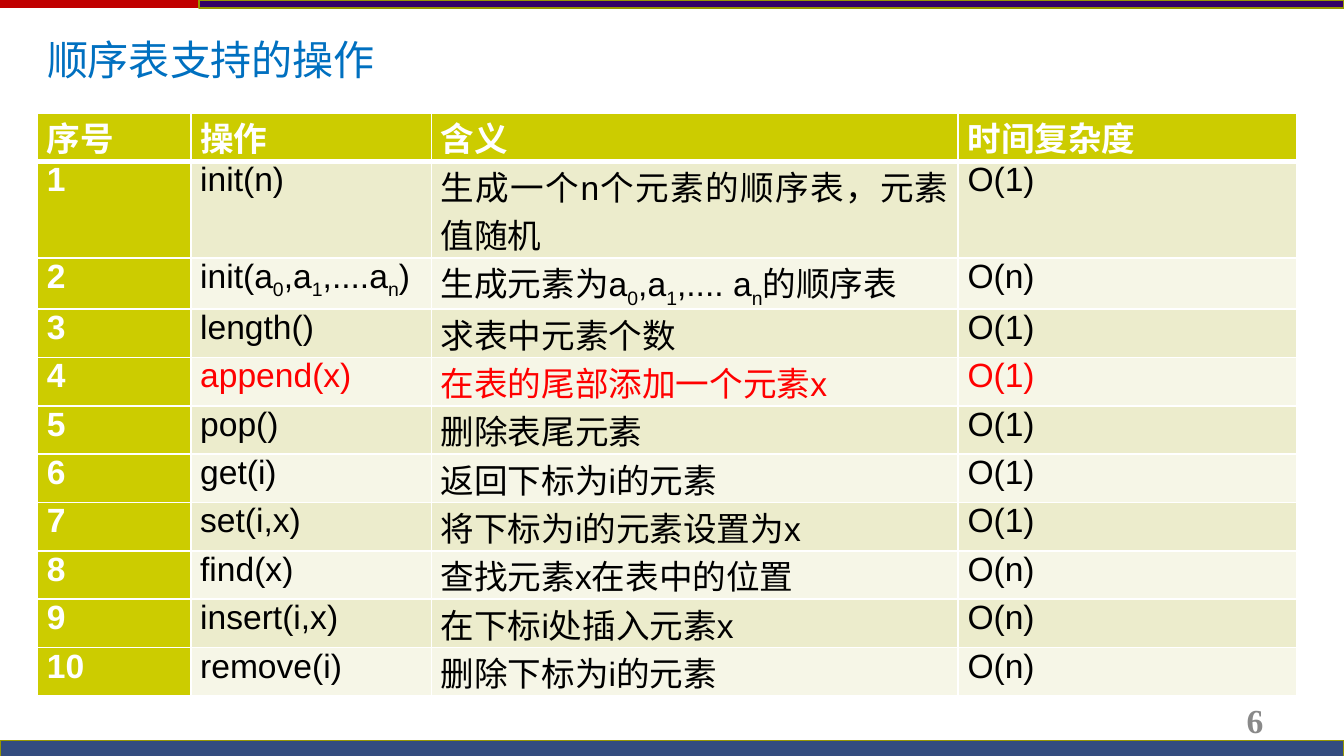
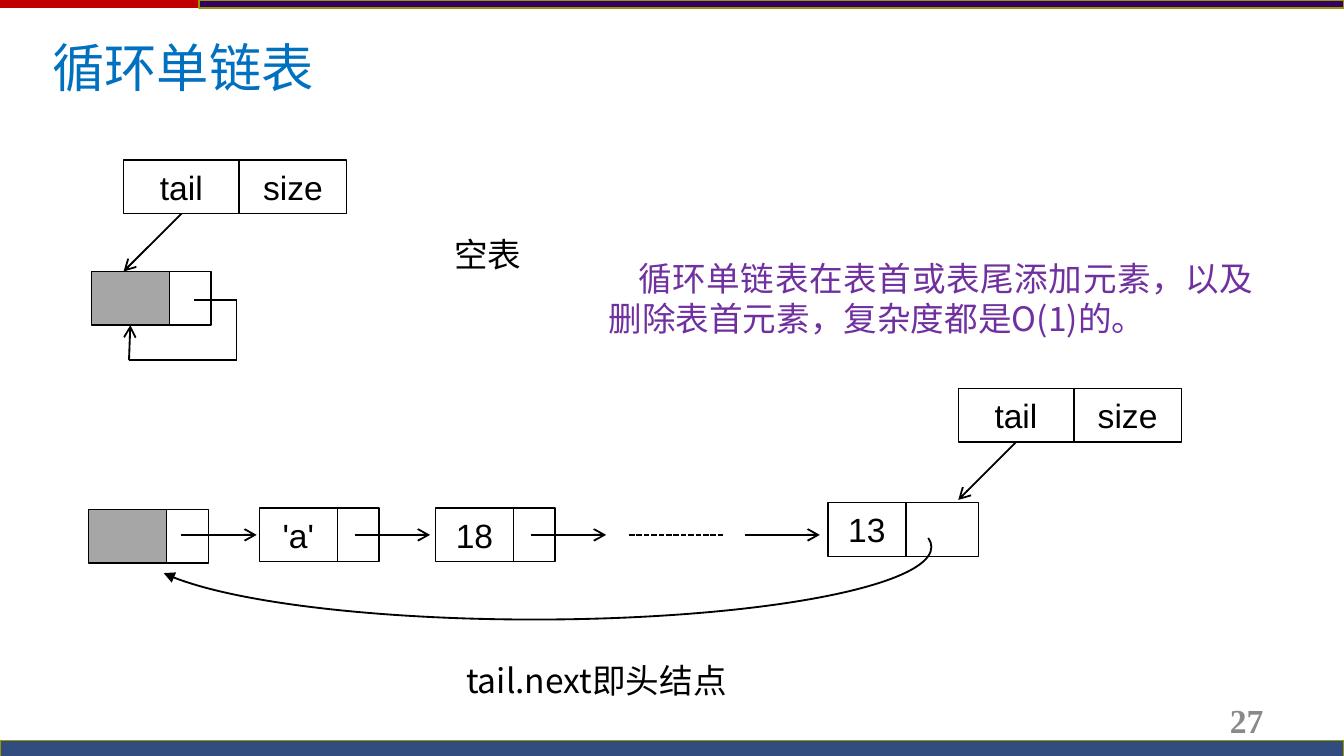
from itertools import pairwise

from pptx import Presentation
from pptx import util as u
from pptx.dml.color import RGBColor
from pptx.enum import dml, shapes, text
from pptx.oxml.ns import qn
from lxml import etree

COLORS = {
    "white": "FFFFFF", "black": "000000", "red": "FF0000", "title": "0070C0",
    "note": "7030A0", "number": "898989", "band_red": "C00000",
    "band_purple": "330066", "band_blue": "002060", "band_line": "979700",
    "olive": "CCCC00", "row_dark": "ECECCC", "row_light": "F6F6E7",
    "head_node": "A6A6A6",
}
CJK = "Noto Sans CJK SC"
LATIN = "Arial"
SERIF = "Times New Roman"

# left, top, width, height, fill, outline, opacity in percent
BANDS = [
    (0, 0, 10, 0.06, "band_red", None, 100),
    (1.48, 0, 8.52, 0.06, "band_purple", "band_line", 100),
    (0, 5.51, 10, 0.12, "band_blue", "band_line", 80),
]

# An underscore lowers the character that follows it.
OPERATIONS = [
    ("序号", "操作", "含义", "时间复杂度"),
    ("1", "init(n)", "生成一个n个元素的顺序表，元素值随机", "O(1)"),
    ("2", "init(a_0,a_1,....a_n)", "生成元素为a_0,a_1,.... a_n的顺序表", "O(n)"),
    ("3", "length()", "求表中元素个数", "O(1)"),
    ("4", "append(x)", "在表的尾部添加一个元素x", "O(1)"),
    ("5", "pop()", "删除表尾元素", "O(1)"),
    ("6", "get(i)", "返回下标为i的元素", "O(1)"),
    ("7", "set(i,x)", "将下标为i的元素设置为x", "O(1)"),
    ("8", "find(x)", "查找元素x在表中的位置", "O(n)"),
    ("9", "insert(i,x)", "在下标i处插入元素x", "O(n)"),
    ("10", "remove(i)", "删除下标为i的元素", "O(n)"),
]
COLUMN_WIDTHS = (1.14, 1.79, 3.92, 2.52)
ROW_HEIGHT, RED_ROW = 0.36, 4
TALL_ROWS = {1: 0.72, 2: 0.38}

LIST_RECORDS = [(0.92, 1.19), (7.13, 2.89)]
# left, top, width of the link part, value (None marks a head node)
NODES = [
    (0.68, 2.02, 0.31, None),
    (0.66, 3.79, 0.31, None),
    (1.93, 3.78, 0.31, "'a'"),
    (3.24, 3.78, 0.31, "18"),
    (6.16, 3.74, 0.54, "13"),
]
BOX_HEIGHT, VALUE_WIDTH, TAIL_WIDTH, SIZE_WIDTH = 0.4, 0.58, 0.86, 0.8
LINK_STARTS, LINK_LENGTH, LINK_Y = (1.35, 2.64, 3.95, 5.54), 0.56, 3.98
SELF_LOOP = [(1.44, 2.23), (1.76, 2.23), (1.76, 2.68), (0.96, 2.68), (0.97, 2.42)]
# left, top, width, height, text, colour, first-line indent
NOTES = [
    (3.28, 1.69, 0.71, 0.4, "空表", "black", 0),
    (3.37, 4.86, 2.16, 0.4, "tail.next即头结点", "black", 0),
    (4.43, 1.87, 5, 0.71,
     "循环单链表在表首或表尾添加元素，以及删除表首元素，复杂度都是O(1)的。", "note", 0.22),
]


def rgb(name):
    return RGBColor.from_string(COLORS[name])


def inches(*values):
    return [u.Inches(v) for v in values]


def add_run(p, words, color, size=18, font=LATIN, bold=False, lowered=False):
    r = p.add_run()
    r.text = words
    r.font.name, r.font.size, r.font.bold = font, u.Pt(size), bold
    r.font.color.rgb = rgb(color)
    rpr = r.font._element
    etree.SubElement(rpr, qn("a:ea")).set("typeface", CJK)
    if lowered:
        rpr.set("baseline", "-25000")


def add_marked_runs(p, words, color, bold):
    first, *rest = words.split("_")
    add_run(p, first, color, bold=bold)
    for part in rest:
        add_run(p, part[0], color, bold=bold, lowered=True)
        if part[1:]:
            add_run(p, part[1:], color, bold=bold)


def format_paragraph(p, align, indent=0):
    p.alignment = align
    p.line_spacing = 1.0
    ppr = p._p.get_or_add_pPr()
    ppr.set("marL", "0")
    ppr.set("indent", str(u.Inches(indent)))


def add_box(s, at, fill=None, line="black", width=0.75, kind=shapes.MSO_SHAPE.RECTANGLE):
    sp = s.shapes.add_shape(kind, *inches(*at))
    sp.shadow.inherit = False
    if fill:
        sp.fill.solid()
        sp.fill.fore_color.rgb = rgb(fill)
    else:
        sp.fill.background()
    if line:
        sp.line.color.rgb = rgb(line)
        sp.line.width = u.Pt(width)
    else:
        sp.line.fill.background()
    return sp


def add_label_box(s, at, label):
    tf = add_box(s, at).text_frame
    tf.vertical_anchor = text.MSO_ANCHOR.TOP
    p = tf.paragraphs[0]
    p.alignment = text.PP_ALIGN.CENTER
    add_run(p, label, "black")


def add_line(s, start, end, arrow=True, dashed=False):
    ln = s.shapes.add_connector(shapes.MSO_CONNECTOR.STRAIGHT, *inches(*start, *end))
    ln.line.color.rgb = rgb("black")
    ln.line.width = u.Pt(1)
    if dashed:
        ln.line.dash_style = dml.MSO_LINE.SQUARE_DOT
    if arrow:
        etree.SubElement(ln.line._get_or_add_ln(), qn("a:tailEnd")).set("type", "arrow")
    etree.SubElement(ln._element.spPr, qn("a:effectLst"))


def add_text(s, at, words, color, indent):
    tf = s.shapes.add_textbox(*inches(*at)).text_frame
    tf.word_wrap = True
    p = tf.paragraphs[0]
    format_paragraph(p, text.PP_ALIGN.JUSTIFY if indent else text.PP_ALIGN.LEFT, indent)
    add_run(p, words, color, font=CJK)


def new_slide(prs, title, title_at, size, margin, number):
    """Add a slide with bands, title and page number."""
    s = prs.slides.add_slide(prs.slide_layouts[5])
    for *at, fill, line, opacity in BANDS:
        sp = add_box(s, at, fill, line, width=0)
        if opacity < 100:
            color = sp.fill._xPr.find(qn("a:solidFill"))[0]
            etree.SubElement(color, qn("a:alpha")).set("val", str(opacity * 1000))

    sp = s.shapes.title
    sp.left, sp.top, sp.width, sp.height = inches(*title_at)
    tf = sp.text_frame
    tf.auto_size = text.MSO_AUTO_SIZE.NONE
    tf.vertical_anchor = text.MSO_ANCHOR.TOP
    tf.margin_top = tf.margin_bottom = u.Inches(margin)
    p = tf.paragraphs[0]
    format_paragraph(p, text.PP_ALIGN.LEFT, 0.29)
    add_run(p, title, "title", size, CJK)

    tf = s.shapes.add_textbox(*inches(7.17, 5.21, 2.33, 0.3)).text_frame
    tf.word_wrap = True
    tf.vertical_anchor = text.MSO_ANCHOR.MIDDLE
    p = tf.paragraphs[0]
    p.alignment = text.PP_ALIGN.RIGHT
    add_run(p, number, "number", font=SERIF, bold=True)
    return s


def set_borders(cell, bottom):
    tcpr = cell._tc.get_or_add_tcPr()
    for i, (side, width) in enumerate((("L", 1), ("R", 1), ("T", 1), ("B", bottom))):
        ln = etree.Element(qn(f"a:ln{side}"), w=str(u.Pt(width)))
        fill = etree.SubElement(ln, qn("a:solidFill"))
        etree.SubElement(fill, qn("a:srgbClr")).set("val", COLORS["white"])
        tcpr.insert(i, ln)


def add_operations_table(s):
    heights = [TALL_ROWS.get(i, ROW_HEIGHT) for i in range(len(OPERATIONS))]
    table = s.shapes.add_table(
        len(OPERATIONS), len(COLUMN_WIDTHS),
        *inches(0.28, 0.84, sum(COLUMN_WIDTHS), sum(heights))).table
    for column, width in zip(table.columns, COLUMN_WIDTHS):
        column.width = u.Inches(width)
    for i, row in enumerate(OPERATIONS):
        table.rows[i].height = u.Inches(heights[i])
        for j, words in enumerate(row):
            cell = table.cell(i, j)
            heading = i == 0 or j == 0
            cell.margin_left = cell.margin_right = u.Inches(0.07)
            cell.margin_top = cell.margin_bottom = 0
            cell.fill.solid()
            cell.fill.fore_color.rgb = rgb(
                "olive" if heading else "row_dark" if i % 2 else "row_light")
            set_borders(cell, 3 if i == 0 else 1)
            p = cell.text_frame.paragraphs[0]
            p.alignment = text.PP_ALIGN.JUSTIFY
            color = "white" if heading else "red" if i == RED_ROW else "black"
            add_marked_runs(p, words, color, heading)


def add_list_record(s, left, top):
    add_label_box(s, (left, top, TAIL_WIDTH, BOX_HEIGHT), "tail")
    add_label_box(s, (left + TAIL_WIDTH, top, SIZE_WIDTH, BOX_HEIGHT), "size")
    bottom = top + BOX_HEIGHT
    add_line(s, (left + TAIL_WIDTH / 2, bottom), (left, bottom + 0.43))


def add_node(s, left, top, link_width, value):
    at = (left, top, VALUE_WIDTH, BOX_HEIGHT)
    if value is None:
        add_box(s, at, "head_node")
    else:
        add_label_box(s, at, value)
    add_box(s, (left + VALUE_WIDTH, top, link_width, BOX_HEIGHT))


def add_return_arc(s):
    arc = add_box(s, (1.02, 3.53, 5.91, 1.08), width=1, kind=shapes.MSO_SHAPE.ARC)
    arc.adjustments[0], arc.adjustments[1] = 110.42, 0.79
    arc._element.spPr.xfrm.set("flipV", "1")
    etree.SubElement(arc.line._get_or_add_ln(), qn("a:headEnd")).set("type", "triangle")


def add_linked_lists(s):
    for record in LIST_RECORDS:
        add_list_record(s, *record)
    for node in NODES:
        add_node(s, *node)
    for x in LINK_STARTS:
        add_line(s, (x, LINK_Y), (x + LINK_LENGTH, LINK_Y))
    add_line(s, (4.68, LINK_Y), (5.38, LINK_Y), arrow=False, dashed=True)
    for start, end in pairwise(SELF_LOOP):
        add_line(s, start, end, arrow=end == SELF_LOOP[-1])
    add_return_arc(s)
    for *at, words, color, indent in NOTES:
        add_text(s, at, words, color, indent)


def main():
    prs = Presentation()
    prs.slide_width = u.Inches(10)
    prs.slide_height = prs.slide_width * 9 // 16
    s = new_slide(prs, "顺序表支持的操作", (-0.04, 0.21, 2.97, 0.47), 22, 0.05, "6")
    s.shapes.title.text_frame.word_wrap = False
    add_operations_table(s)
    s = new_slide(prs, "循环单链表", (0, 0.08, 9.61, 0.84), 28, 0.18, "27")
    add_linked_lists(s)
    prs.save("out.pptx")


if __name__ == "__main__":
    main()
